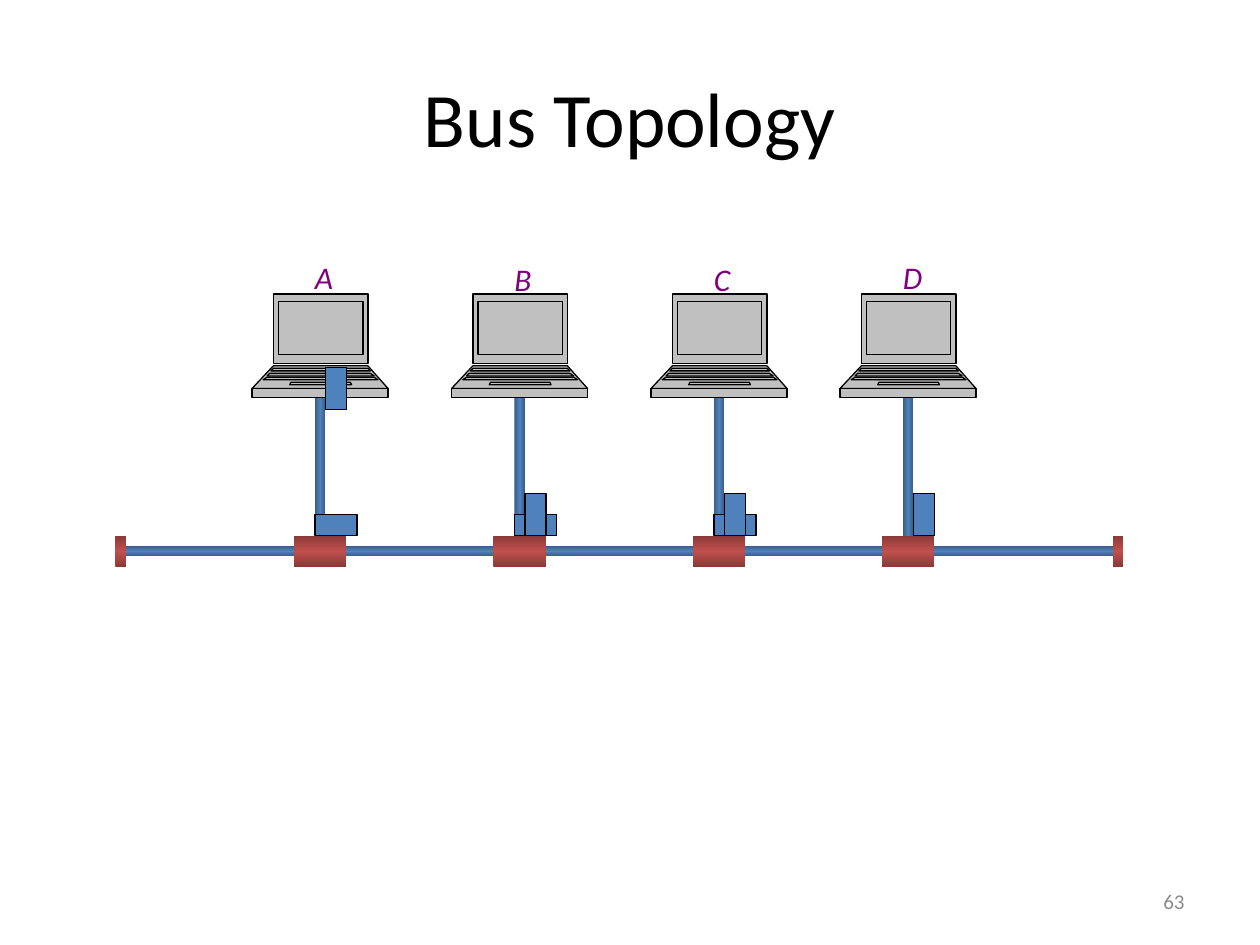
from copy import deepcopy

from lxml import etree
from pptx import Presentation
from pptx.dml.color import RGBColor
from pptx.enum.shapes import MSO_SHAPE
from pptx.enum.text import MSO_ANCHOR, MSO_AUTO_SIZE, PP_ALIGN
from pptx.oxml.ns import qn
from pptx.util import Cm, Pt

RECT = MSO_SHAPE.RECTANGLE
MIDDLE = MSO_ANCHOR.MIDDLE
GROW = MSO_AUTO_SIZE.SHAPE_TO_FIT_TEXT
CENTER, RIGHT = PP_ALIGN.CENTER, PP_ALIGN.RIGHT

FONT = "Calibri"
BLUE, NAVY = "4F81BD", "395C87"
RED, MAROON = "C0504D", "893937"

GRID = 2.54 / 12  # the drawing sits on a grid of 12 cells to the inch

# Laptop parts in 1/100 inch: top left, top right, bottom left, bottom right, y1, y2
PARTS = [
    (17, 92, 17, 92, 0, 55),     # lid
    (17, 92, 0, 108, 57, 75),    # deck
    (0, 108, 0, 108, 75, 82),    # front edge
    (21, 88, 21, 88, 6, 48),     # screen
    (17, 92, 15, 94, 59, 61),    # key rows and space bar
    (31, 78, 30, 79, 70, 72),
    (14, 94, 12, 97, 63, 65),
    (12, 97, 9, 100, 66, 68),
]

# Name, cable column, label row
NODES = [("A", 30, 24), ("B", 49, 24.2), ("C", 68, 24.2), ("D", 86, 24)]


def cells(*nums):
    return [Cm(n * GRID) for n in nums]


def color(code):
    return RGBColor.from_string(code)


def write(frame, text, size, code, align=None, italic=None):
    para = frame.paragraphs[0]
    para.text = text
    para.alignment = align
    para.font.name = FONT
    para.font.size = Pt(size)
    para.font.italic = italic
    para.font.color.rgb = color(code)


def paint(shape, fill):
    shape.shadow.inherit = False
    shape.fill.solid()
    shape.fill.fore_color.rgb = color(fill)
    shape.line.color.rgb = color("000000")
    shape.line.width = Pt(0.75)


def add_pipe(group, box, edge, mid, angle):
    """Borderless bar shaded from its edges to its middle."""
    pipe = group.shapes.add_shape(RECT, *cells(*box))
    pipe.shadow.inherit = False
    pipe.line.fill.background()
    pipe.fill.gradient()
    pipe.fill.gradient_angle = angle
    stops = pipe._element.spPr.find(".//" + qn("a:gsLst"))
    stops.append(deepcopy(stops[0]))
    for stop, pos, code in zip(pipe.fill.gradient_stops, (0, 0.5, 1), (edge, mid, edge)):
        stop.position = pos
        stop.color.rgb = color(code)


def add_bus(slide):
    group = slide.shapes.add_group_shape()
    add_pipe(group, (12, 52, 94, 1), NAVY, BLUE, 90)
    for left in (11, 106):
        add_pipe(group, (left, 51, 1, 3), MAROON, RED, 90)


def add_drop(slide, col):
    group = slide.shapes.add_group_shape()
    add_pipe(group, (col, 35, 1, 18), NAVY, BLUE, 0)
    add_pipe(group, (col - 2, 51, 5, 3), MAROON, RED, 90)


def split_paths(shape):
    """Give each outline its own path, so that overlaps stay filled."""
    first = shape._element.spPr.find(".//" + qn("a:path"))
    steps = list(first)
    path = first
    for step in steps:
        if step.tag == qn("a:moveTo") and step is not steps[0]:
            path = etree.SubElement(first.getparent(), qn("a:path"), dict(first.attrib))
        path.append(step)


def add_laptop(slide, col):
    start = PARTS[0]
    pen = slide.shapes.build_freeform(start[0], start[4], scale=Cm(2.54) / 100)
    for part in PARTS:
        x1, x2, x3, x4, top, low = part
        if part is not start:
            pen.move_to(x1, top)
        pen.add_line_segments([(x2, top), (x4, low), (x3, low)], close=True)
    shape = pen.convert_to_shape(*cells(col - 6, 28))
    split_paths(shape)
    paint(shape, "C0C0C0")


def add_frame(slide, col, row, turn=0):
    shape = slide.shapes.add_shape(RECT, *cells(col, row, 2, 4))
    shape.rotation = turn
    paint(shape, BLUE)


def add_label(slide, name, col, row):
    frame = slide.shapes.add_textbox(*cells(col - 1.2, row, 4.2, 4.8)).text_frame
    frame.word_wrap = False
    frame.auto_size = GROW
    write(frame, name, 18, "800080", italic=True)


def add_title(slide, text):
    title = slide.shapes.title
    title.left, title.top, title.width, title.height = cells(6, 3.6, 108, 15)
    title.text_frame.vertical_anchor = MIDDLE
    write(title.text_frame, text, 44, "000000", CENTER)


def add_number(slide, text):
    frame = slide.shapes.add_textbox(*cells(86, 83.4, 28, 4.8)).text_frame
    frame.word_wrap = True
    frame.vertical_anchor = MIDDLE
    write(frame, text, 12, "8C8C8C", RIGHT)


def main():
    prs = Presentation()
    prs.slide_width, prs.slide_height = Cm(25.4), Cm(19.05)
    slide = prs.slides.add_slide(prs.slide_layouts[5])
    add_title(slide, "Bus Topology")
    add_number(slide, "63")

    # Cable with its taps, then the computers
    add_bus(slide)
    for _, col, _ in NODES:
        add_drop(slide, col)
    for _, col, _ in NODES:
        add_laptop(slide, col)

    # Data frames: sent by A, along the bus, up to the others
    add_frame(slide, 31, 35)
    for _, col, _ in NODES[:-1]:
        add_frame(slide, col + 1, 48, 90)
    for _, col, _ in NODES[1:]:
        add_frame(slide, col + 1, 47)

    for name, col, row in NODES:
        add_label(slide, name, col, row)
    prs.save("out.pptx")


if __name__ == "__main__":
    main()
